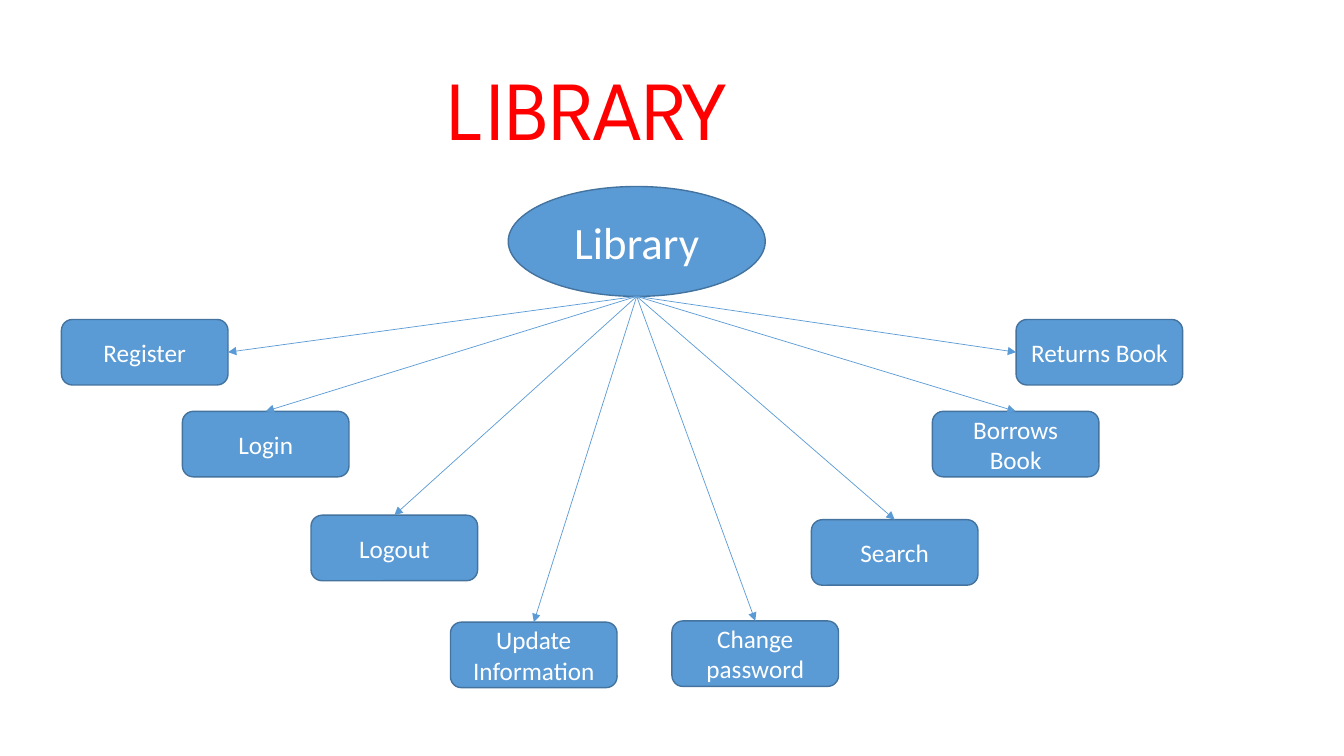
from lxml import etree
from pptx import Presentation
from pptx.dml.color import RGBColor
from pptx.enum.shapes import MSO_CONNECTOR as CONNECTOR, MSO_SHAPE as SHAPE
from pptx.enum.text import MSO_ANCHOR as ANCHOR, MSO_AUTO_SIZE as AUTO_SIZE, PP_ALIGN as ALIGN
from pptx.oxml.ns import qn
from pptx.util import Pt

# Content
TITLE = "LIBRARY"
HUB = "Library"
TOP, LEFT, RIGHT = 0, 1, 3  # connection sites of a rounded rectangle
ACTIONS = [  # label, left, top, side the arrow reaches
    ("Register", 43.9, 228.2, RIGHT),
    ("Login", 130.3, 293.8, TOP),
    ("Logout", 222.2, 368, TOP),
    ("Update Information", 321.8, 444.4, TOP),
    ("Change password", 480, 443.5, TOP),
    ("Search", 579.6, 371.2, TOP),
    ("Borrows Book", 666, 293.8, TOP),
    ("Returns Book", 725.8, 228.2, LEFT),
]

# Look
RED = RGBColor(0xFF, 0x00, 0x00)
BLUE = RGBColor(0x5B, 0x9B, 0xD5)
DARK_BLUE = RGBColor(0x43, 0x73, 0x9E)
WHITE = RGBColor(0xFF, 0xFF, 0xFF)
HUB_LEFT, HUB_TOP, HUB_WIDTH, HUB_HEIGHT = 363, 133.2, 183.6, 78.5
BOX_WIDTH, BOX_HEIGHT = 119, 46.8


def write(frame, text, size, font, color, align):
    frame.word_wrap = True
    frame.auto_size = AUTO_SIZE.NONE
    frame.vertical_anchor = ANCHOR.MIDDLE
    para = frame.paragraphs[0]
    para.alignment = align
    span = para.add_run()
    span.text = text
    span.font.size = Pt(size)
    span.font.name = font
    span.font.color.rgb = color
    return para


def add_node(page, kind, label, left, top, width, height, size):
    node = page.shapes.add_shape(kind, Pt(left), Pt(top), Pt(width), Pt(height))
    node.shadow.inherit = False
    node.fill.solid()
    node.fill.fore_color.rgb = BLUE
    node.line.color.rgb = DARK_BLUE
    node.line.width = Pt(1)
    write(node.text_frame, label, size, "Calibri", WHITE, ALIGN.CENTER)
    return node


def add_arrow(page, start, node, side):
    x, y = start
    arrow = page.shapes.add_connector(CONNECTOR.STRAIGHT, Pt(x), Pt(y), Pt(x), Pt(y))
    arrow.end_connect(node, side)
    arrow.line.color.rgb = BLUE
    arrow.line.width = Pt(0.5)
    etree.SubElement(arrow.line._get_or_add_ln(), qn("a:tailEnd"), type="triangle")
    etree.SubElement(arrow._element.spPr, qn("a:effectLst"))


def main():
    deck = Presentation()
    deck.slide_width, deck.slide_height = Pt(960), Pt(540)
    page = deck.slides.add_slide(deck.slide_layouts[5])

    # Title
    title = page.shapes.title
    title.left, title.top, title.width, title.height = Pt(66), Pt(28.8), Pt(828), Pt(104.4)
    title.text_frame.margin_left = Pt(254)
    para = write(title.text_frame, TITLE, 60, "League Spartan", RED, ALIGN.LEFT)
    para.line_spacing = 0.9

    # Hub, then its actions with arrows from the bottom of the hub
    add_node(page, SHAPE.OVAL, HUB, HUB_LEFT, HUB_TOP, HUB_WIDTH, HUB_HEIGHT, 32)
    start = (HUB_LEFT + HUB_WIDTH / 2, HUB_TOP + HUB_HEIGHT)
    for label, left, top, side in ACTIONS:
        box = add_node(page, SHAPE.ROUNDED_RECTANGLE, label, left, top, BOX_WIDTH, BOX_HEIGHT, 18)
        add_arrow(page, start, box, side)

    deck.save("out.pptx")


if __name__ == "__main__":
    main()
